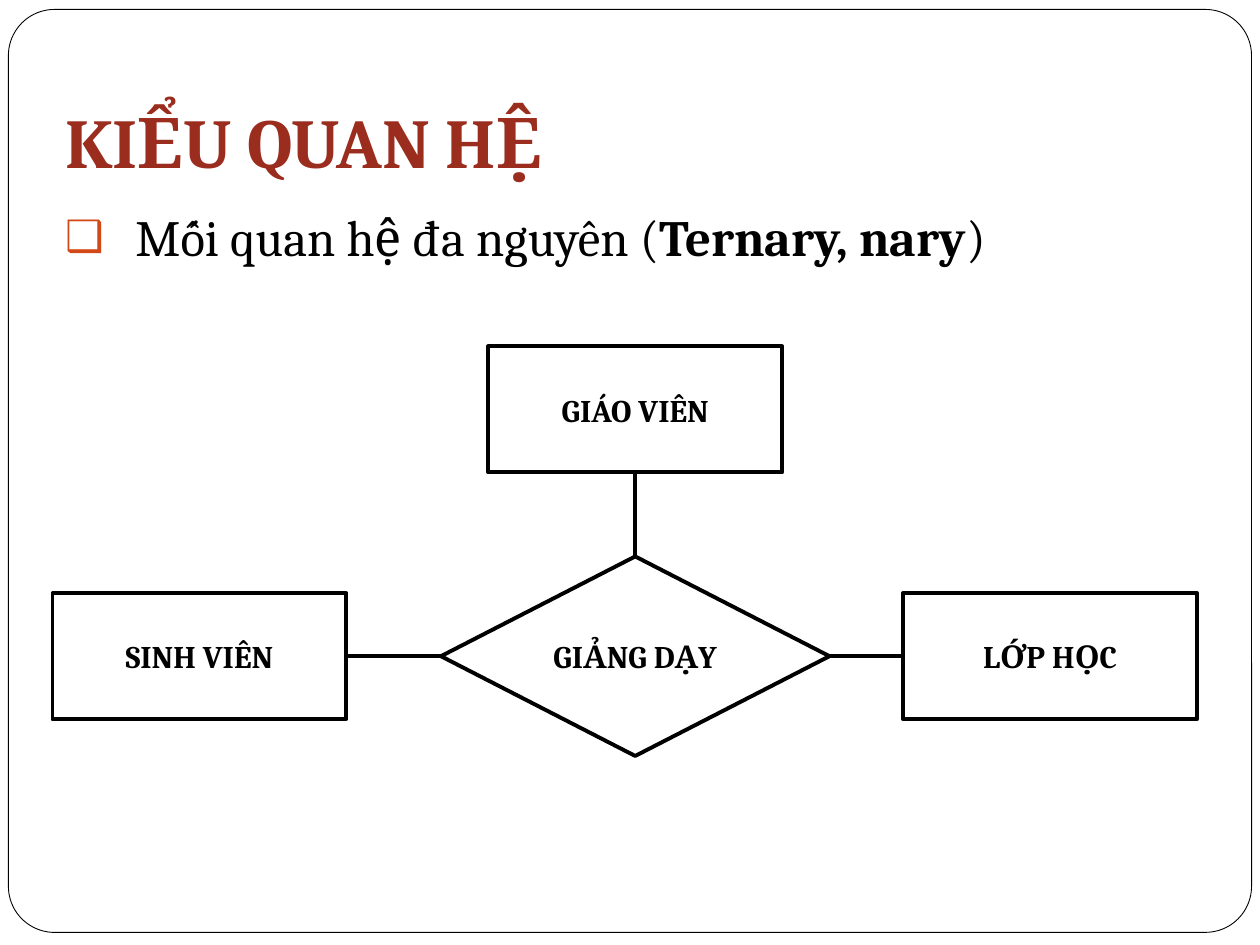
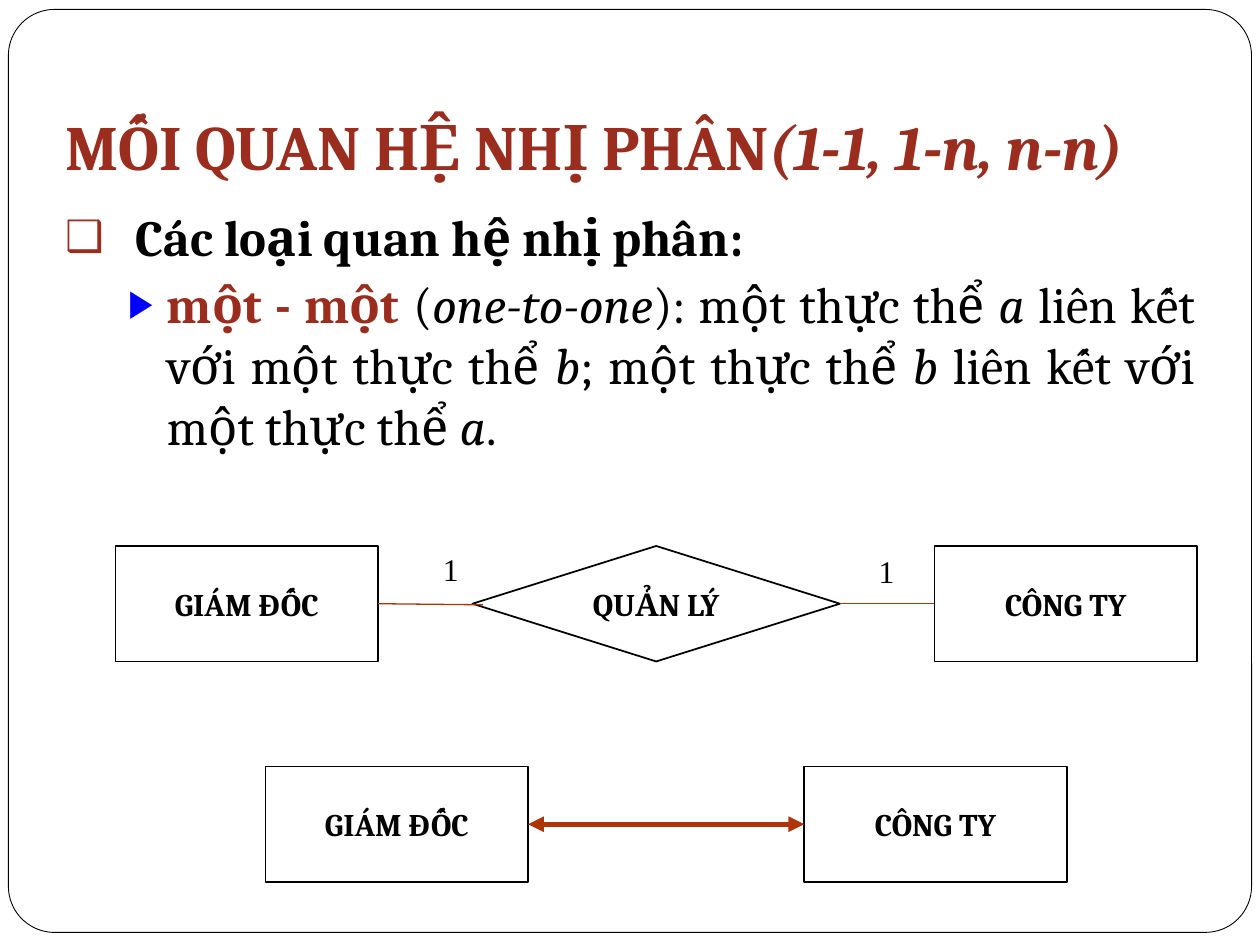
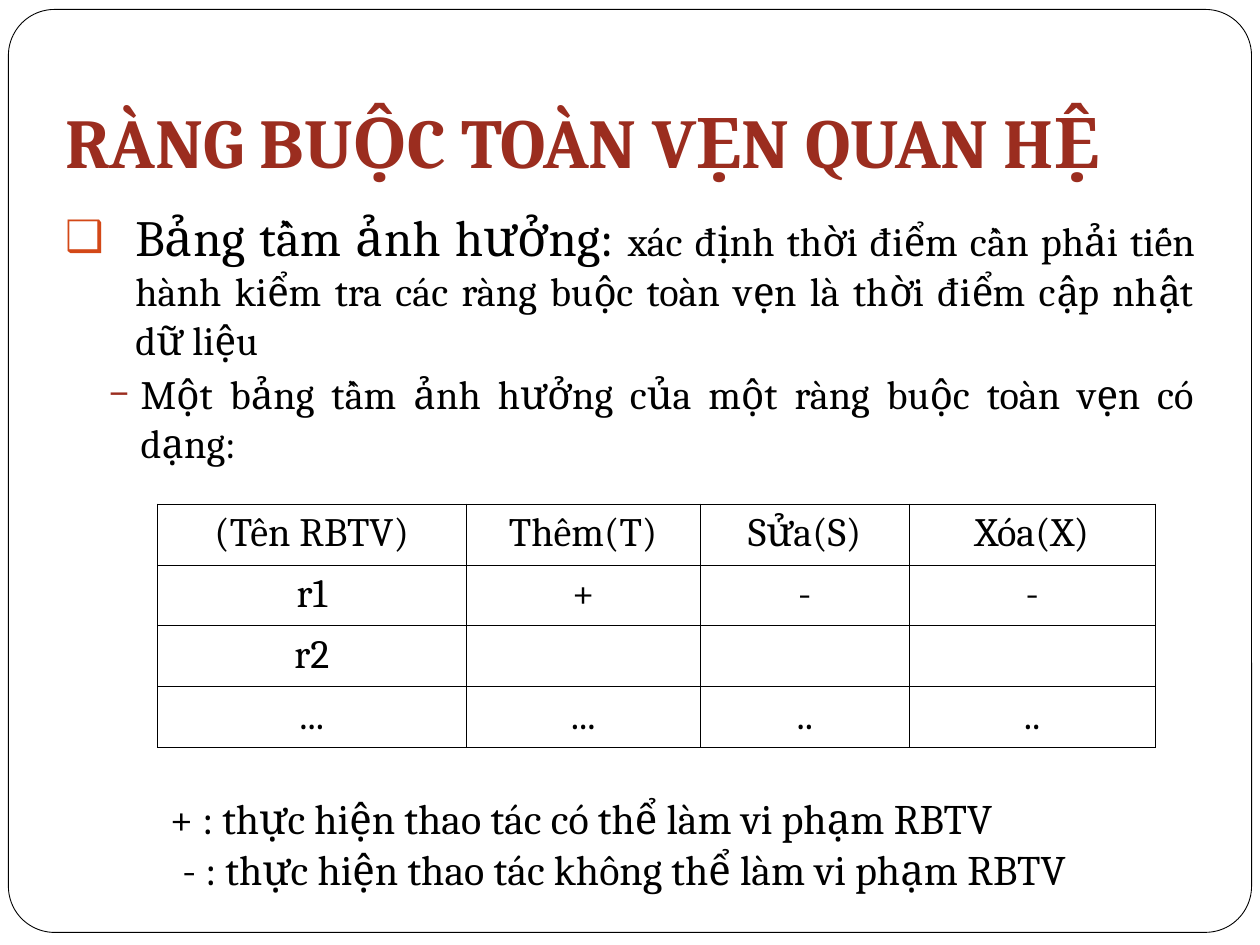
"""Build three slides on relationship types and integrity constraints."""
from lxml import etree
from pptx import Presentation
from pptx.dml.color import RGBColor
from pptx.enum.shapes import MSO_CONNECTOR, MSO_SHAPE
from pptx.enum.text import MSO_ANCHOR, MSO_AUTO_SIZE, PP_ALIGN
from pptx.oxml.ns import qn
from pptx.util import Pt

PX = 7620
RECTANGLE = MSO_SHAPE.RECTANGLE
DECISION = MSO_SHAPE.FLOWCHART_DECISION
STRAIGHT = MSO_CONNECTOR.STRAIGHT
LEFT, CENTER, JUSTIFY = PP_ALIGN.LEFT, PP_ALIGN.CENTER, PP_ALIGN.JUSTIFY
TOP, MIDDLE, BOTTOM = MSO_ANCHOR.TOP, MSO_ANCHOR.MIDDLE, MSO_ANCHOR.BOTTOM

FONT = "Cambria"
BLACK, WHITE, BLUE = "000000", "FFFFFF", "0000FF"
RED, ORANGE, RUST = "9B2D1F", "D34817", "AF3408"
BOLD, ITALIC = {"bold": True}, {"italic": True}


def rgb(color):
    return RGBColor.from_string(color)


def set_font(font, size, color=BLACK, bold=False, name=FONT):
    font.name, font.size, font.bold = name, Pt(size), bold
    font.color.rgb = rgb(color)


# Bullets: level, character, colour, size in percent, margin, hanging indent, space before
pages = [
    {
        "title_size": 40,
        "title": [("KIỂU QUAN HỆ", {})],
        "body": [
            ((0, "❑", ORANGE, 85, 67, 67, 5.8), 29,
             [("Mối quan hệ đa nguyên (", {}), ("Ternary, nary", BOLD), (")", {})]),
        ],
    },
    {
        "title_size": 36,
        "title": [("MỐI QUAN HỆ NHỊ PHÂN", {}), ("(1-1, 1-n, n-n)", ITALIC)],
        "body": [
            ((0, "❑", RED, 85, 67, 67, 7.3), 29, [("Các loại quan hệ nhị phân:", BOLD)]),
            ((1, "▶", BLUE, 75, 97, 37, 3.7), 29,
             [("một - một ", {"bold": True, "color": RED}), ("(", {}), ("one-to-one", ITALIC),
              ("): một thực thể ", {}), ("a", ITALIC), (" liên kết với một thực thể ", {}),
              ("b", ITALIC), ("; một thực thể ", {}), ("b", ITALIC),
              (" liên kết với một thực thể ", {}), ("a", ITALIC), (".", {})]),
        ],
    },
    {
        "title_size": 40,
        "title": [("RÀNG BUỘC TOÀN VẸN QUAN HỆ", {})],
        "body": [
            ((0, "❑", ORANGE, 85, 67, 67, 5.8), 29,
             [("Bảng tầm ảnh hưởng: ", {}),
              ("xác định thời điểm cần phải tiến hành kiểm tra các ràng buộc toàn vẹn "
               "là thời điểm cập nhật dữ liệu", {"size": Pt(23)})]),
            ((1, "−", RED, 85, 72, 30, 3.7), 23,
             [("Một bảng tầm ảnh hưởng của một ràng buộc toàn vẹn có dạng:", {})]),
        ],
    },
]

presentation = Presentation()
presentation.slide_width, presentation.slide_height = 1200 * PX, 900 * PX
layout = presentation.slide_layouts[1]
slides = [presentation.slides.add_slide(layout) for page in pages]

frame = slides[0].shapes.add_shape(
    MSO_SHAPE.ROUNDED_RECTANGLE, 8 * PX, 9 * PX, 1184 * PX, 879 * PX)
frame.adjustments[0] = 0.05
frame.shadow.inherit = False
frame.fill.solid()
frame.fill.fore_color.rgb = rgb(WHITE)
frame.line.color.rgb = rgb(BLACK)
frame.line.width = Pt(0.5)
layout.shapes.element.insert(2, frame.element)

for slide, page in zip(slides, pages):
    title, body = slide.placeholders
    paragraphs = [(title.text_frame.paragraphs[0], page["title"])]
    for placeholder, top, height, anchor in ((title, 36, 150, BOTTOM), (body, 190, 600, TOP)):
        placeholder.left, placeholder.top = 50 * PX, top * PX
        placeholder.width, placeholder.height = 1100 * PX, height * PX
        placeholder.text_frame.vertical_anchor = anchor
        placeholder.text_frame.auto_size = MSO_AUTO_SIZE.NONE
    title.text_frame.margin_bottom = 12 * PX
    title.text_frame.paragraphs[0].alignment = LEFT
    set_font(title.text_frame.paragraphs[0].font, page["title_size"], RED, True)

    for index, (bullet, size, runs) in enumerate(page["body"]):
        text_frame = body.text_frame
        paragraph = text_frame.add_paragraph() if index else text_frame.paragraphs[0]
        level, character, color, percent, margin, hanging, space = bullet
        properties = paragraph._p.get_or_add_pPr()
        properties.set("marL", str(margin * PX))
        properties.set("indent", str(-hanging * PX))
        bullet_color = etree.SubElement(properties, qn("a:buClr"))
        etree.SubElement(bullet_color, qn("a:srgbClr"), val=color)
        etree.SubElement(properties, qn("a:buSzPct"), val=str(percent * 1000))
        etree.SubElement(properties, qn("a:buChar"), char=character)
        paragraph.level = level
        paragraph.alignment = JUSTIFY
        paragraph.space_before = Pt(space)
        set_font(paragraph.font, size)
        paragraphs.append((paragraph, runs))

    for paragraph, runs in paragraphs:
        for text, style in runs:
            run = paragraph.add_run()
            run.text = text
            for name, value in style.items():
                if name == "color":
                    run.font.color.rgb = rgb(value)
                else:
                    setattr(run.font, name, value)

ternary_slide, binary_slide, table_slide = slides

ternary_nodes = [
    ("GIÁO VIÊN", RECTANGLE, 465, 330, 280, 120),
    ("GIẢNG DẠY", DECISION, 420, 530, 370, 190),
    ("LỚP HỌC", RECTANGLE, 860, 565, 280, 120),
    ("SINH VIÊN", RECTANGLE, 50, 565, 280, 120),
]
binary_nodes = [
    ("GIÁM ĐỐC", RECTANGLE, 110, 520, 250, 110),
    ("QUẢN LÝ", DECISION, 450, 520, 350, 110),
    ("CÔNG TY", RECTANGLE, 890, 520, 250, 110),
    ("GIÁM ĐỐC", RECTANGLE, 253, 730, 250, 110),
    ("CÔNG TY", RECTANGLE, 766, 730, 250, 110),
]
for slide, nodes, weight in ((ternary_slide, ternary_nodes, 2.25), (binary_slide, binary_nodes, 1)):
    for text, kind, *box in nodes:
        shape = slide.shapes.add_shape(kind, *[value * PX for value in box])
        shape.shadow.inherit = False
        shape.fill.solid()
        shape.fill.fore_color.rgb = rgb(WHITE)
        shape.line.color.rgb = rgb(BLACK)
        shape.line.width = Pt(weight)
        shape.text_frame.word_wrap = False
        shape.text_frame.vertical_anchor = MIDDLE
        paragraph = shape.text_frame.paragraphs[0]
        paragraph.text = text
        paragraph.alignment = CENTER
        set_font(paragraph.font, 18, bold=True)

links = [
    (ternary_slide, BLACK, 2.25, False, 605, 450, 605, 530),
    (ternary_slide, BLACK, 2.25, False, 330, 625, 420, 625),
    (ternary_slide, BLACK, 2.25, False, 790, 625, 860, 625),
    (binary_slide, RUST, 0.75, False, 800, 575, 890, 575),
    (binary_slide, RUST, 0.75, False, 360, 575, 460, 576),
    (binary_slide, RUST, 3, True, 503, 785, 766, 785),
]
for slide, color, weight, arrows, *ends in links:
    connector = slide.shapes.add_connector(STRAIGHT, *[value * PX for value in ends])
    connector.line.color.rgb = rgb(color)
    connector.line.width = Pt(weight)
    if arrows:
        for end in ("a:headEnd", "a:tailEnd"):
            etree.SubElement(connector.line._get_or_add_ln(), qn(end), type="triangle")
    etree.SubElement(connector._element.spPr, qn("a:effectLst"))

text_boxes = [
    (binary_slide, (825, 520, 40, 48), 18, "Times New Roman", [("1", 0)]),
    (binary_slide, (410, 518, 40, 48), 18, "Times New Roman", [("1", 0)]),
    (table_slide, (150, 749, 910, 108), 24, FONT,
     [("+ : thực hiện thao tác có thể làm vi phạm RBTV", 0),
      ("- : thực hiện thao tác không thể làm vi phạm RBTV", 12)]),
]
for slide, box, size, font_name, lines in text_boxes:
    text_frame = slide.shapes.add_textbox(*[value * PX for value in box]).text_frame
    text_frame.word_wrap = True
    for index, (text, margin) in enumerate(lines):
        paragraph = text_frame.add_paragraph() if index else text_frame.paragraphs[0]
        paragraph.text = text
        paragraph._p.get_or_add_pPr().set("marL", str(margin * PX))
        set_font(paragraph.font, size, name=font_name)

rows = [
    ("(Tên RBTV)", "Thêm(T)", "Sửa(S)", "Xóa(X)"),
    ("r1", "+", "-", "-"),
    ("r2", "", "", ""),
    ("...", "...", "..", ".."),
]
column_widths = (294, 223, 199, 234)
table = table_slide.shapes.add_table(
    len(rows), len(column_widths), 150 * PX, 480 * PX, sum(column_widths) * PX, 232 * PX).table
table.first_row = table.horz_banding = False
for column, width in zip(table.columns, column_widths):
    column.width = width * PX
for row, texts in zip(table.rows, rows):
    row.height = 58 * PX
    for cell, text in zip(row.cells, texts):
        cell_properties = cell._tc.get_or_add_tcPr()
        for side in ("a:lnL", "a:lnR", "a:lnT", "a:lnB"):
            border = etree.SubElement(cell_properties, qn(side), w=str(Pt(0.45)))
            fill = etree.SubElement(border, qn("a:solidFill"))
            etree.SubElement(fill, qn("a:srgbClr"), val=BLACK)
        cell.fill.background()
        paragraph = cell.text_frame.paragraphs[0]
        paragraph.text = text
        paragraph.alignment = CENTER
        set_font(paragraph.font, 23)

presentation.save("out.pptx")
